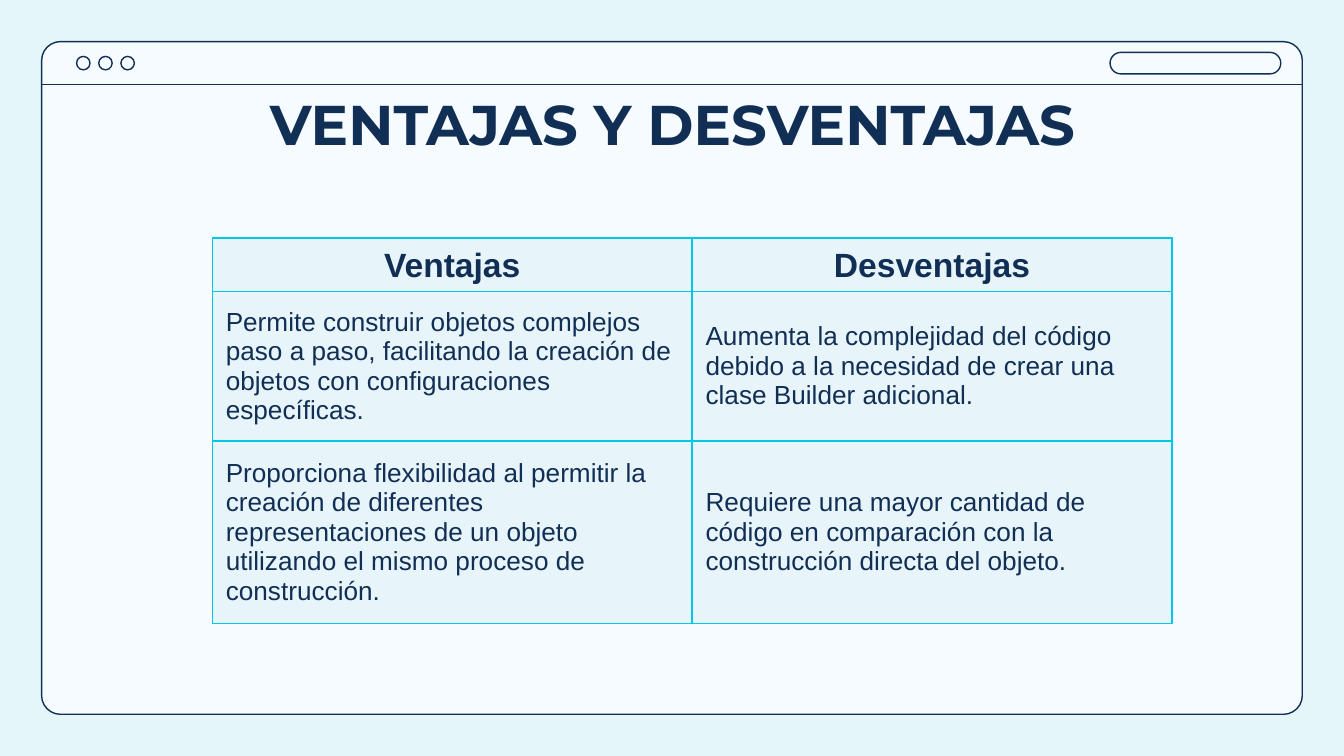
from lxml.etree import SubElement
from pptx import Presentation
from pptx.dml.color import RGBColor
from pptx.enum.shapes import MSO_CONNECTOR, MSO_SHAPE
from pptx.enum.text import MSO_ANCHOR, PP_ALIGN
from pptx.oxml.ns import qn
from pptx.util import Inches, Pt

NAVY = RGBColor(0x11, 0x2E, 0x54)
CYAN = RGBColor(0x00, 0xC7, 0xE6)
SKY = RGBColor(0xE5, 0xF6, 0xFB)
PANEL = RGBColor(0xF5, 0xFB, 0xFF)
CELL = RGBColor(0xE7, 0xF5, 0xFA)

WIDTH = 10
HEIGHT = WIDTH * 9 / 16
MARGIN = 0.31
BAR_HEIGHT = 0.32
ROW_HEIGHTS = (0.4, 1.11, 1.36)
ROWS = (
    ("Ventajas", "Desventajas"),
    ("Permite construir objetos complejos paso a paso, facilitando la creación de "
     "objetos con configuraciones específicas.",
     "Aumenta la complejidad del código debido a la necesidad de crear una clase "
     "Builder adicional."),
    ("Proporciona flexibilidad al permitir la creación de diferentes representaciones "
     "de un objeto utilizando el mismo proceso de construcción.",
     "Requiere una mayor cantidad de código en comparación con la construcción "
     "directa del objeto."),
)


def add_outlined(slide, kind, left, top, width, height, fill=None, rounding=None):
    shape = slide.shapes.add_shape(
        kind, Inches(left), Inches(top), Inches(width), Inches(height))
    shape.shadow.inherit = False
    if fill is None:
        shape.fill.background()
    else:
        shape.fill.solid()
        shape.fill.fore_color.rgb = fill
    shape.line.color.rgb = NAVY
    shape.line.width = Pt(0.75)
    if rounding is not None:
        shape.adjustments[0] = rounding


def add_window(slide, left, top, width, height):
    """Browser-like frame with three buttons and an address field in its bar."""
    add_outlined(slide, MSO_SHAPE.ROUNDED_RECTANGLE, left, top, width, height,
                 PANEL, 0.028)
    for index in range(3):
        add_outlined(slide, MSO_SHAPE.OVAL, left + 0.26 + index * 0.165,
                     top + 0.11, 0.1, 0.1)
    add_outlined(slide, MSO_SHAPE.ROUNDED_RECTANGLE, left + width - 1.43,
                 top + 0.08, 1.27, 0.16, rounding=0.5)
    bar_bottom = Inches(top + BAR_HEIGHT)
    divider = slide.shapes.add_connector(
        MSO_CONNECTOR.STRAIGHT, Inches(left), bar_bottom,
        Inches(left + width), bar_bottom)
    divider.line.color.rgb = NAVY
    divider.line.width = Pt(0.75)
    SubElement(divider._element.spPr, qn("a:effectLst"))


def write(frame, text, font_name, size, bold, alignment):
    paragraph = frame.paragraphs[0]
    paragraph.alignment = alignment
    run = paragraph.add_run()
    run.text = text
    run.font.name = font_name
    run.font.size = Pt(size)
    run.font.bold = bold
    run.font.color.rgb = NAVY


def add_title(slide, left, top, width, height):
    box = slide.shapes.add_textbox(
        Inches(left), Inches(top), Inches(width), Inches(height))
    frame = box.text_frame
    frame.word_wrap = True
    frame.margin_top = frame.margin_bottom = Inches(0.1)
    frame.margin_left = frame.margin_right = Inches(0.1)
    frame.vertical_anchor = MSO_ANCHOR.TOP
    write(frame, "VENTAJAS Y DESVENTAJAS", "Montserrat", 30, True, PP_ALIGN.CENTER)


def set_borders(cell):
    properties = cell._tc.get_or_add_tcPr()
    for position, side in enumerate(("lnL", "lnR", "lnT", "lnB")):
        line = properties.makeelement(qn(f"a:{side}"), {"w": str(Pt(1))})
        fill = SubElement(line, qn("a:solidFill"))
        SubElement(fill, qn("a:srgbClr"), val=str(CYAN))
        SubElement(line, qn("a:prstDash"), val="solid")
        properties.insert(position, line)


def add_comparison(slide, left, top, width):
    columns = len(ROWS[0])
    table = slide.shapes.add_table(
        len(ROWS), columns, Inches(left), Inches(top),
        Inches(width), Inches(sum(ROW_HEIGHTS))).table
    for column in table.columns:
        column.width = Inches(width / columns)
    for row_index, (texts, row_height) in enumerate(zip(ROWS, ROW_HEIGHTS)):
        table.rows[row_index].height = Inches(row_height)
        header = row_index == 0
        for column_index, text in enumerate(texts):
            cell = table.cell(row_index, column_index)
            cell.fill.solid()
            cell.fill.fore_color.rgb = CELL
            cell.vertical_anchor = MSO_ANCHOR.BOTTOM if header else MSO_ANCHOR.MIDDLE
            write(cell.text_frame, text, "Arial", 18 if header else 14, header,
                  PP_ALIGN.CENTER if header else PP_ALIGN.LEFT)
            set_borders(cell)


def main():
    presentation = Presentation()
    presentation.slide_width = Inches(WIDTH)
    presentation.slide_height = Inches(HEIGHT)
    slide = presentation.slides.add_slide(presentation.slide_layouts[6])
    slide.background.fill.solid()
    slide.background.fill.fore_color.rgb = SKY
    add_window(slide, MARGIN, MARGIN, WIDTH - 2 * MARGIN, HEIGHT - 2 * MARGIN)
    add_title(slide, 0.79, 0.57, 8.43, 0.63)
    add_comparison(slide, 1.58, 1.77, 7.14)
    presentation.save("out.pptx")


if __name__ == "__main__":
    main()
